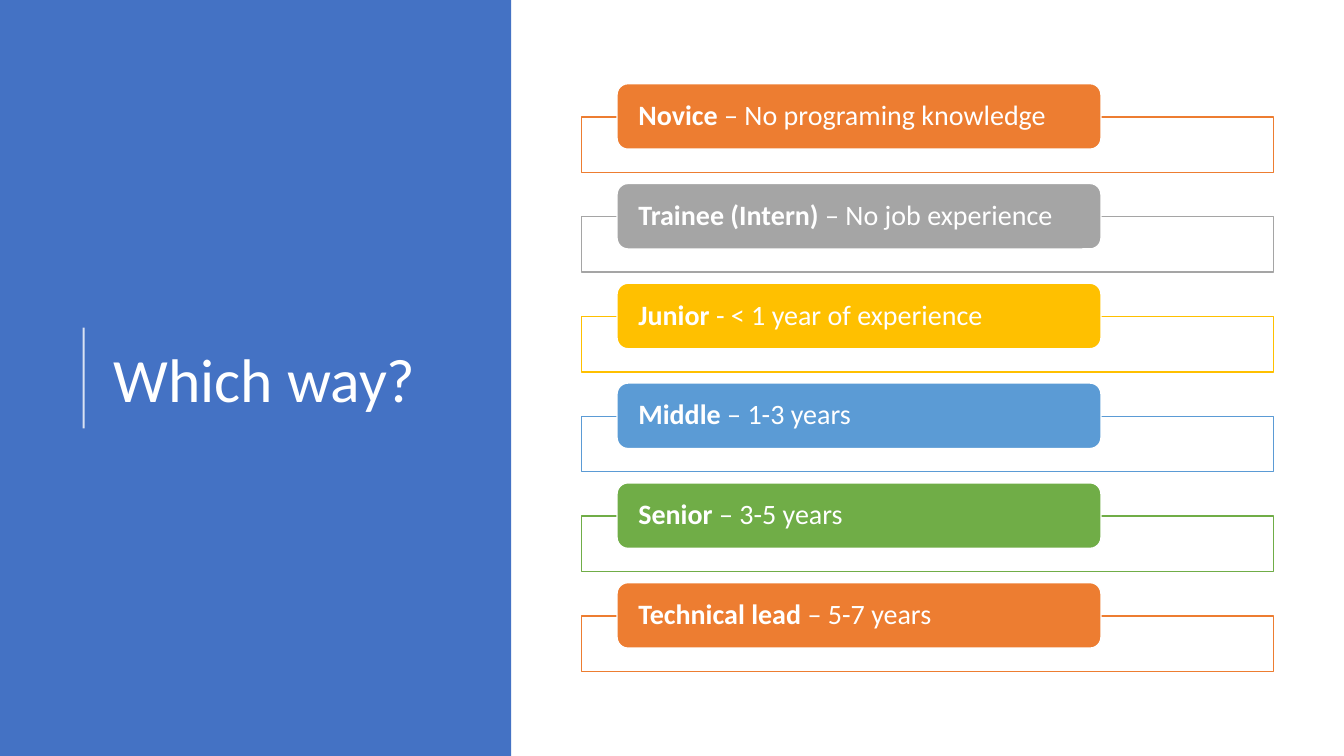
from pptx import Presentation, util as u
from pptx.dml.color import RGBColor
from pptx.enum import shapes, text
from pptx.oxml import ns
from lxml import etree

BLUE = RGBColor(0x44, 0x72, 0xC4)
WHITE = RGBColor(0xFF, 0xFF, 0xFF)
ORANGE = RGBColor(0xED, 0x7D, 0x31)
GRAY = RGBColor(0xA5, 0xA5, 0xA5)
GOLD = RGBColor(0xFF, 0xC0, 0x00)
LIGHT_BLUE = RGBColor(0x5B, 0x9B, 0xD5)
GREEN = RGBColor(0x70, 0xAD, 0x47)

LEVELS = [
    ("Novice ", "– No programing knowledge", ORANGE),
    ("Trainee (Intern) ", "– No job experience", GRAY),
    ("Junior", " - < 1 year of experience", GOLD),
    ("Middle", " – 1-3 years", LIGHT_BLUE),
    ("Senior", " – 3-5 years", GREEN),
    ("Technical lead ", "– 5-7 years", ORANGE),
]
FIRST_TOP, PITCH = 0.83, 0.99


class SlideBuilder:
    """Draws styled elements on the current slide."""

    font_name = "Calibri"
    font_color = WHITE

    def __init__(self, slide):
        self.slide = slide

    def set_opacity(self, element, percent):
        color = next(element.spPr.iter(ns.qn("a:srgbClr")))
        etree.SubElement(color, ns.qn("a:alpha")).set("val", str(percent * 1000))

    def add_block(self, kind, left, top, width, height, fill, line=None, opacity=100):
        shape = self.slide.shapes.add_shape(
            kind, u.Inches(left), u.Inches(top), u.Inches(width), u.Inches(height))
        shape.shadow.inherit = False
        shape.fill.solid()
        shape.fill.fore_color.rgb = fill
        if opacity < 100:
            self.set_opacity(shape._element, opacity)
        if line is None:
            shape.line.fill.background()
        else:
            shape.line.color.rgb = line
            shape.line.width = u.Pt(1)
        return shape

    def add_text(self, shape, runs, size):
        frame = shape.text_frame
        frame.word_wrap = True
        frame.vertical_anchor = text.MSO_ANCHOR.MIDDLE
        paragraph = frame.paragraphs[0]
        paragraph.alignment = text.PP_ALIGN.LEFT
        paragraph.line_spacing = 0.9
        for words, bold in runs:
            run = paragraph.add_run()
            run.text = words
            run.font.name = self.font_name
            run.font.size = u.Pt(size)
            run.font.bold = bold
            run.font.color.rgb = self.font_color

    def add_title(self, words, left, top, width, height):
        box = self.slide.shapes.add_textbox(
            u.Inches(left), u.Inches(top), u.Inches(width), u.Inches(height))
        self.add_text(box, [(words, False)], 44)

    def add_rule(self, left, top, bottom):
        rule = self.slide.shapes.add_connector(
            shapes.MSO_CONNECTOR.STRAIGHT,
            u.Inches(left), u.Inches(bottom), u.Inches(left), u.Inches(top))
        rule.line.color.rgb = WHITE
        rule.line.width = u.Pt(1.5)
        self.set_opacity(rule._element, 80)
        etree.SubElement(rule._element.spPr, ns.qn("a:effectLst"))

    def add_level(self, top, name, detail, color):
        self.add_block(shapes.MSO_SHAPE.RECTANGLE, 5.77, top + 0.33, 6.86, 0.55,
                       WHITE, color, opacity=90)
        label = self.add_block(shapes.MSO_SHAPE.ROUNDED_RECTANGLE, 6.12, top, 4.8, 0.65,
                               color, WHITE)
        frame = label.text_frame
        frame.margin_left = frame.margin_right = u.Inches(0.18)
        frame.margin_top = frame.margin_bottom = 0
        self.add_text(label, [(name, True), (detail, False)], 20)


def main():
    presentation = Presentation()
    presentation.slide_width = u.Inches(13.33)
    presentation.slide_height = u.Inches(7.5)
    builder = SlideBuilder(presentation.slides.add_slide(presentation.slide_layouts[6]))
    builder.add_block(shapes.MSO_SHAPE.RECTANGLE, 0, 0, 5.07, 7.5, BLUE)
    builder.add_title("Which way?", 1.03, 0.78, 3.69, 6.02)
    builder.add_rule(0.83, 3.25, 4.25)
    for index, level in enumerate(LEVELS):
        builder.add_level(FIRST_TOP + index * PITCH, *level)
    presentation.save("out.pptx")


if __name__ == "__main__":
    main()
